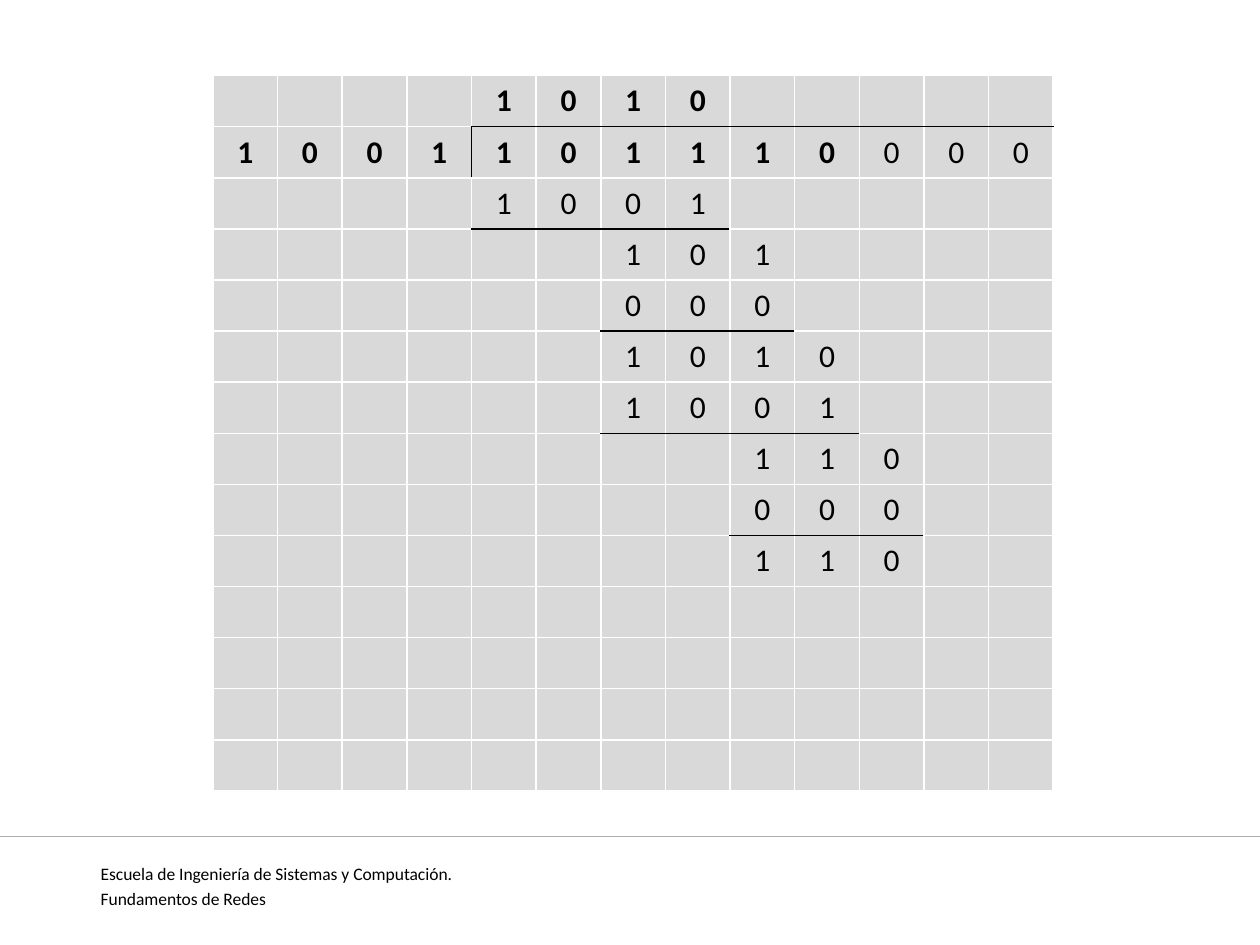
from dataclasses import dataclass
from lxml import etree
from pptx import Presentation
from pptx.dml.color import RGBColor
from pptx.enum.shapes import MSO_CONNECTOR
from pptx.enum.text import PP_ALIGN
from pptx.oxml.ns import qn
from pptx.util import Inches, Pt

CENTER = PP_ALIGN.CENTER
JUSTIFY = PP_ALIGN.JUSTIFY
STRAIGHT = MSO_CONNECTOR.STRAIGHT
ROWS, COLS = 14, 13
LEFT, TOP, WIDTH, HEIGHT = 1.69, 0.6, 6.67, 5.68
BLACK, WHITE, GRAY, RULE = "000000", "FFFFFF", "D9D9D9", "AEAEAE"


@dataclass
class Digits:
    row: int
    col: int
    text: str
    bold: bool = False


@dataclass
class Bar:
    row: int
    first: int
    last: int


DIGITS = [
    Digits(0, 4, "1010", True),
    Digits(1, 0, "1001101110", True),
    Digits(1, 10, "000"),
    Digits(2, 4, "1001"),
    Digits(3, 6, "101"),
    Digits(4, 6, "000"),
    Digits(5, 6, "1010"),
    Digits(6, 6, "1001"),
    Digits(7, 8, "110"),
    Digits(8, 8, "000"),
    Digits(9, 8, "110"),
]
BARS = [Bar(0, 4, 12), Bar(2, 4, 7), Bar(4, 6, 8), Bar(6, 6, 9), Bar(8, 8, 10)]
DIVIDER = (1, 4)
FOOTER = ["Escuela de Ingeniería de Sistemas y Computación.", "Fundamentos de Redes"]


def color(code: str) -> RGBColor:
    return RGBColor.from_string(code)


def style(font, size: float, bold: bool = False) -> None:
    for name, value in {"name": "Calibri", "size": Pt(size), "bold": bold}.items():
        setattr(font, name, value)
    font.color.rgb = color(BLACK)


def barred(row: int, col: int) -> bool:
    return any(b.row == row and b.first <= col <= b.last for b in BARS)


def edges(row: int, col: int) -> dict[str, bool]:
    return {
        "a:lnL": (row, col) == DIVIDER,
        "a:lnR": (row, col + 1) == DIVIDER,
        "a:lnT": barred(row - 1, col),
        "a:lnB": barred(row, col),
    }


def paint(cell, row: int, col: int) -> None:
    props = cell._tc.get_or_add_tcPr()
    for tag, dark in edges(row, col).items():
        line = etree.SubElement(props, qn(tag), w=str(Pt(1)))
        fill = etree.SubElement(line, qn("a:solidFill"))
        etree.SubElement(fill, qn("a:srgbClr"), val=BLACK if dark else WHITE)
    cell.fill.solid()
    cell.fill.fore_color.rgb = color(GRAY)


def write(table, group: Digits) -> None:
    for col, digit in enumerate(group.text, group.col):
        para = table.cell(group.row, col).text_frame.paragraphs[0]
        para.alignment = CENTER
        run = para.add_run()
        run.text = digit
        style(run.font, 18, group.bold)


def division(slide) -> None:
    table = slide.shapes.add_table(
        ROWS, COLS, Inches(LEFT), Inches(TOP), Inches(WIDTH), Inches(HEIGHT)
    ).table
    for col in table.columns:
        col.width = Inches(WIDTH / COLS)
    for row in table.rows:
        row.height = Inches(HEIGHT / ROWS)
    for row in range(ROWS):
        for col in range(COLS):
            paint(table.cell(row, col), row, col)
    for group in DIGITS:
        write(table, group)


def footer(slide) -> None:
    box = slide.shapes.add_textbox(Inches(0.7), Inches(6.8), Inches(8.98), Inches(0.39))
    frame = box.text_frame
    frame.word_wrap = True
    for index, text in enumerate(FOOTER):
        para = frame.add_paragraph() if index else frame.paragraphs[0]
        para.alignment = JUSTIFY
        para.space_before = Pt(2 if index else 0)
        run = para.add_run()
        run.text = text
        style(run.font, 10)
    line = slide.shapes.add_connector(
        STRAIGHT, Inches(0), Inches(6.64), Inches(10), Inches(6.64)
    )
    line.line.color.rgb = color(RULE)
    line.line.width = Pt(0.75)
    etree.SubElement(line._element.spPr, qn("a:effectLst"))


def main() -> None:
    deck = Presentation()
    deck.slide_width, deck.slide_height = Inches(10), Inches(7.5)
    slide = deck.slides.add_slide(deck.slide_layouts[6])
    footer(slide)
    division(slide)
    deck.save("out.pptx")


if __name__ == "__main__":
    main()
